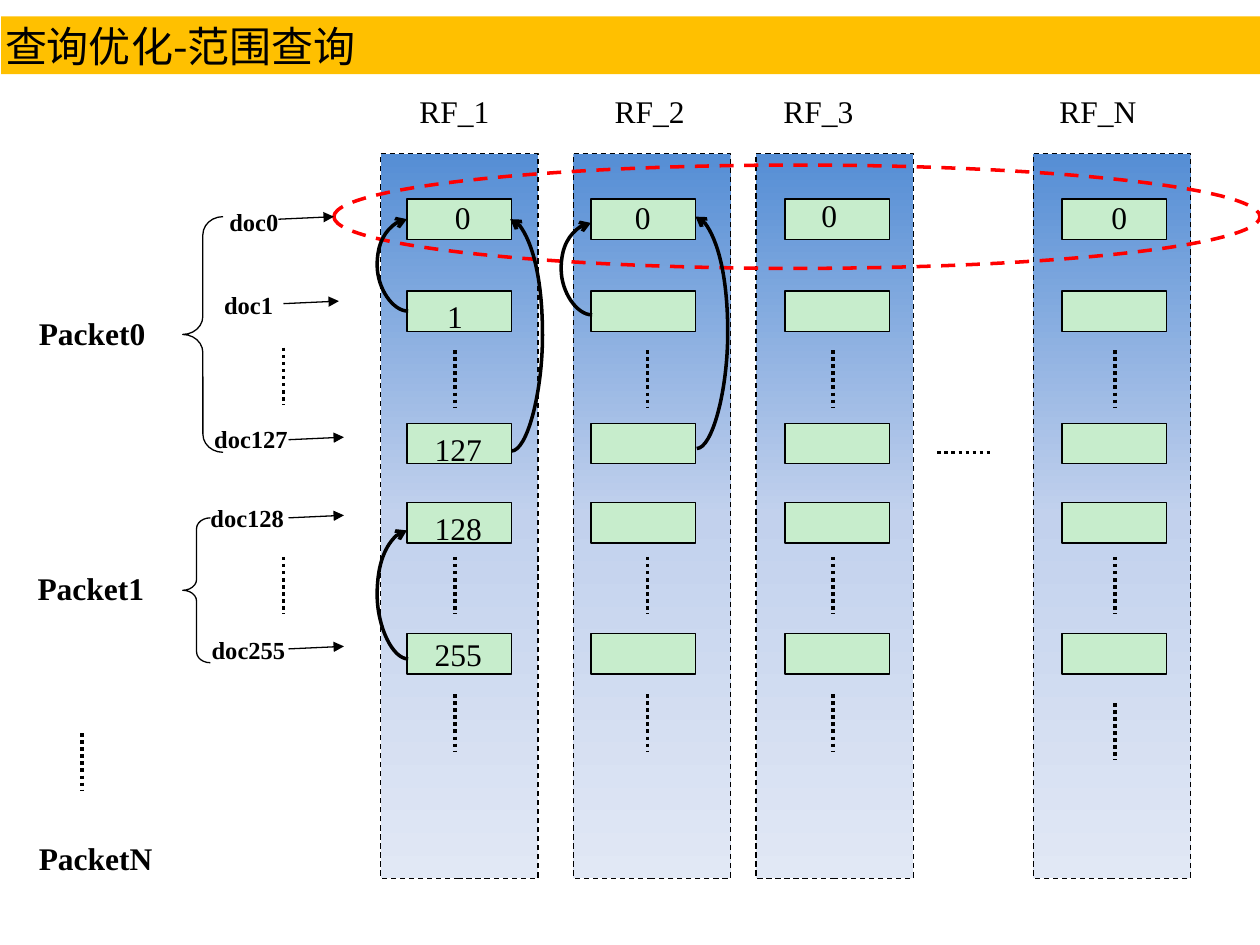
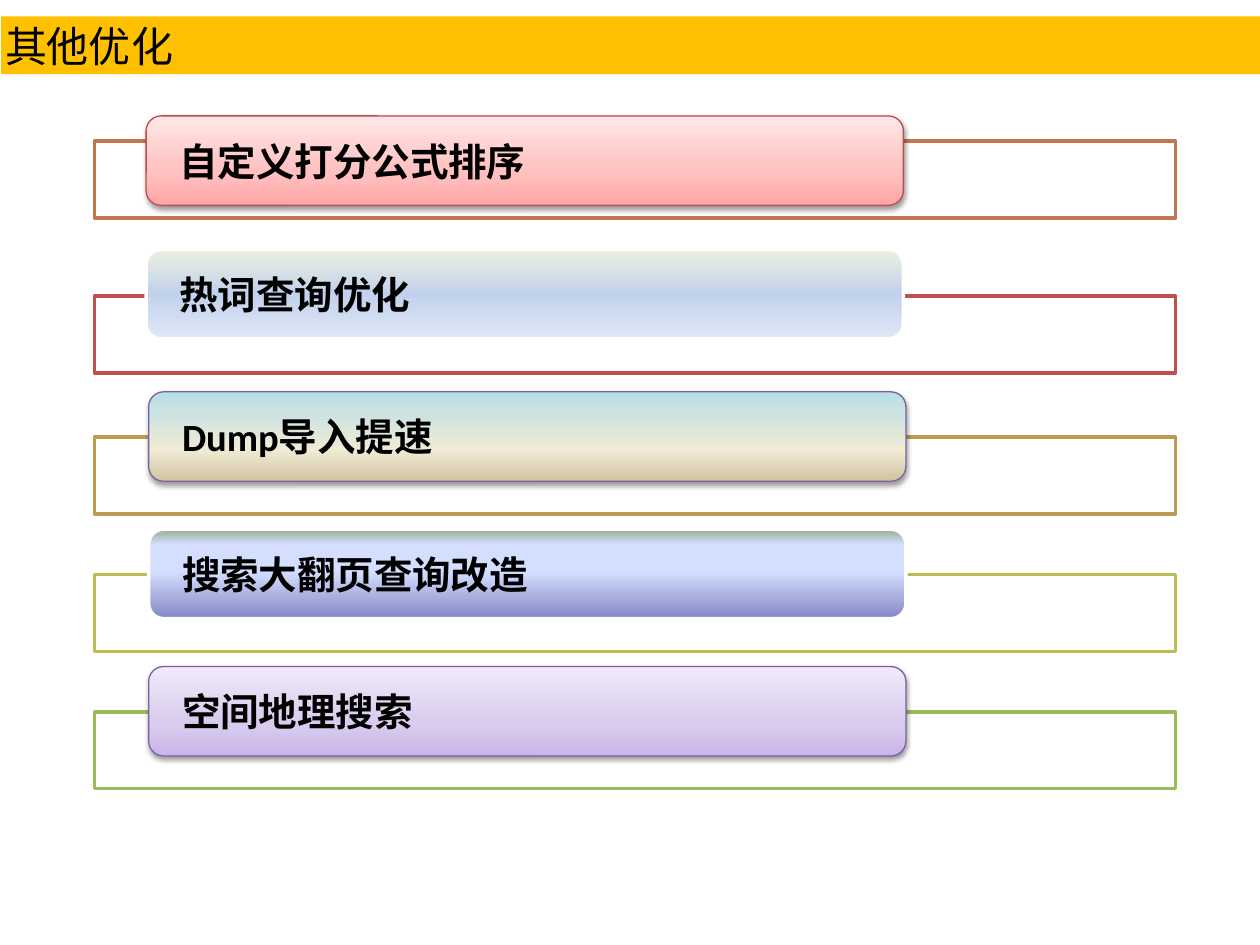
from lxml import etree
from pptx import Presentation
from pptx import util as u
from pptx.dml.color import RGBColor
from pptx.enum import dml, shapes, text
from pptx.oxml.ns import qn

# Shared look; lengths count cells of a 10 by 7.5 grid
CELL = u.Inches(1)
BLACK, WHITE, GOLD, GREEN, RED = "000000", "FFFFFF", "FFC000", "C7EDCC", "FF0000"
HAN, ROMAN, SANS = "Noto Sans CJK SC", "Times New Roman", "Calibri"
BLUES = [(0, "558ED5"), (50, "C2D1ED"), (100, "E1E8F5")]
DASH, DOT = dml.MSO_LINE.DASH, dml.MSO_LINE.ROUND_DOT
KIND = shapes.MSO_SHAPE
LINK = shapes.MSO_CONNECTOR


def grid(*vals):
    return [round(v * CELL) for v in vals]


def rgb(hue):
    return RGBColor.from_string(hue)


def node(root, tag, **attrs):
    return etree.SubElement(root, qn(tag), {k: str(v) for k, v in attrs.items()})


def pen(line, hue, size, dash=None):
    line.color.rgb = rgb(hue)
    line.width = u.Pt(size)
    if dash:
        line.dash_style = dash


def blend(shape, stops):
    """Fill from top to bottom with (percent, colour) stops."""
    shape.fill.gradient()
    shape.fill.gradient_angle = 270
    root = shape._element.spPr.find(".//" + qn("a:gsLst"))
    for old in list(root):
        root.remove(old)
    for pos, hue in stops:
        node(node(root, "a:gs", pos=pos * 1000), "a:srgbClr", val=hue)


def block(slide, kind, at, fill=None, line=None, size=0.75, dash=None):
    shape = slide.shapes.add_shape(kind, *grid(*at))
    shape.shadow.inherit = False
    if isinstance(fill, list):
        blend(shape, fill)
    elif fill:
        shape.fill.solid()
        shape.fill.fore_color.rgb = rgb(fill)
    else:
        shape.fill.background()
    if line:
        pen(shape.line, line, size, dash)
    else:
        shape.line.fill.background()
    return shape


def shade(shape):
    root = shape._element.spPr.find(qn("a:effectLst"))
    cast = node(root, "a:outerShdw", blurRad=u.Pt(3.1), dist=u.Pt(1.6),
                dir=5400000, rotWithShape=0)
    node(node(cast, "a:srgbClr", val=BLACK), "a:alpha", val=38000)


def write(shape, words, size, face, bold=False, pad=0.1, top=0.05, mid=False):
    frame = shape.text_frame
    frame.word_wrap = True
    frame.margin_left, frame.margin_top, frame.margin_bottom = grid(pad, top, top)
    frame.margin_right = 0
    frame.vertical_anchor = text.MSO_ANCHOR.MIDDLE if mid else text.MSO_ANCHOR.TOP
    para = frame.paragraphs[0]
    para.text = words
    para.alignment = text.PP_ALIGN.LEFT
    font = para.font
    font.name, font.size, font.bold = face, u.Pt(size), bold
    font.color.rgb = rgb(BLACK)
    node(font._element, "a:ea", typeface=HAN)


def label(slide, words, at, size=18, bold=False, pad=0.1):
    write(slide.shapes.add_textbox(*grid(*at)), words, size, ROMAN, bold, pad)


def link(slide, ends, size, dash=None, head=None, kind=LINK.STRAIGHT):
    line = slide.shapes.add_connector(kind, *grid(*ends))
    pen(line.line, BLACK, size, dash)
    if head:
        node(line.line._get_or_add_ln(), "a:tailEnd", type=head)
    node(line._element.spPr, "a:effectLst")
    return line


def dots(slide, x, y):
    link(slide, (x, y, x, y + 0.45), 2, DOT)


def curve(slide, x, low, high, side):
    """Bow a quarter cell out to a side: -1 left, 1 right."""
    line = link(slide, (x, low, x - 0.01, high), 2, head="arrow", kind=LINK.CURVE)
    geom = line._element.spPr.find(qn("a:prstGeom"))
    av = geom.find(qn("a:avLst"))
    if av is None:
        av = node(geom, "a:avLst")
    node(av, "a:gd", name="adj1", fmla=f"val {-side * 2500000}")


def brace(slide, at, bend):
    block(slide, KIND.LEFT_BRACE, at, line=BLACK).adjustments[0] = bend


def start(deck, words):
    slide = deck.slides.add_slide(deck.slide_layouts[6])
    band = block(slide, KIND.RECTANGLE, (0.01, 0.13, 9.99, 0.46), GOLD)
    write(band, words, 24, HAN, pad=0.03, top=0.03, mid=True)
    return slide


def ranges(deck):
    slide = start(deck, "查询优化-范围查询")

    # Columns: name, left of column, box, name and dots
    cols = [("RF_1", 3.02, 3.23, 3.23, 3.61), ("RF_2", 4.55, 4.69, 4.78, 5.14),
            ("RF_3", 6, 6.23, 6.12, 6.61), ("RF_N", 8.2, 8.43, 8.31, 8.85)]
    rows = [1.58, 2.31, 3.36, 3.99, 5.03]
    for name, left, *_ in cols:
        block(slide, KIND.RECTANGLE, (left, 1.22, 1.25, 5.75), BLUES, BLACK, dash=DASH)
    block(slide, KIND.OVAL, (2.65, 1.31, 7.35, 0.82), None, RED, 2, DASH)
    for name, _, box, head, dot in cols:
        label(slide, name, (head, 0.68, 1.14, 0.45))
        for y in rows:
            block(slide, KIND.RECTANGLE, (box, y, 0.83, 0.32), GREEN, BLACK)
        for y in (2.78, 4.42, 5.58 if name == "RF_N" else 5.51):
            dots(slide, dot, y)
    link(slide, (7.44, 3.59, 7.88, 3.59), 2, DOT)

    # Box values
    for x, y, pad, word in [
            (3.45, 1.52, 0.16, "0"), (4.88, 1.52, 0.16, "0"),
            (6.36, 1.51, 0.16, "0"), (8.6, 1.52, 0.22, "0"),
            (3.45, 2.31, 0.1, "1"), (3.23, 3.36, 0.22, "127"),
            (3.23, 3.99, 0.22, "128"), (3.23, 4.99, 0.22, "255")]:
        label(slide, word, (x, y, 0.83, 0.45), pad=pad)

    # Documents and their arrows
    for word, x, y, pad, tip, level in [
            ("doc0", 1.67, 1.59, 0.15, 2.21, 1.74),
            ("doc1", 1.68, 2.25, 0.1, 2.25, 2.41),
            ("doc127", 1.45, 3.32, 0.25, 2.29, 3.49),
            ("doc128", 1.5, 3.94, 0.17, 2.29, 4.11),
            ("doc255", 1.53, 4.99, 0.15, 2.29, 5.15)]:
        label(slide, word, (x, y, 0.9, 0.43), 14, True, pad)
        link(slide, (tip, level, tip + 0.44, level - 0.02), 0.75, head="triangle")

    # Packets
    for word, x, y in [("Packet0", 0.21, 2.44), ("Packet1", 0.2, 4.47),
                       ("PacketN", 0.21, 6.61)]:
        label(slide, word, (x, y, 1.24, 0.5), bold=True)
    brace(slide, (1.45, 1.72, 0.32, 1.87), 0.45)
    brace(slide, (1.45, 4.11, 0.22, 1.15), 0.39)
    for x, y in [(2.25, 2.76), (2.25, 4.42), (0.65, 5.82)]:
        dots(slide, x, y)

    # Links back to the first box of a packet
    for x, low, high, side in [
            (3.24, 2.47, 1.74, -1), (4.06, 3.58, 1.74, 1), (3.24, 5.23, 4.21, -1),
            (4.7, 2.5, 1.77, -1), (5.53, 3.56, 1.72, 1)]:
        curve(slide, x, low, high, side)


def others(deck):
    slide = start(deck, "其他优化")

    # Cards: words, frame top, card place, frame and card line, fill
    cards = [
        ("自定义打分公式排序", 1.12, 1.16, 0.92, "BF7750", "BF4C48",
         [(0, "FFE7E7"), (65, "FFC0BF"), (100, "FFA6A5")]),
        ("热词查询优化", 2.35, 1.16, 1.98, "C0504D", WHITE,
         [(0, "EBF1DE"), (50, "C2D1ED"), (100, "E1E8F5")]),
        ("Dump导入提速", 3.47, 1.18, 3.11, "BD9B53", "7D60A0",
         [(0, "B7DEE8"), (65, "F0EBD5"), (100, "D1C39F")]),
        ("搜索大翻页查询改造", 4.56, 1.18, 4.2, "BCBC56", WHITE,
         [(0, "96AB94"), (17, "D4DEFF"), (47, "D4DEFF"), (100, "8488C4")]),
        ("空间地理搜索", 5.65, 1.18, 5.29, "9BBB59", "7D60A0",
         [(0, "F0EAF9"), (65, "D8CBEE"), (100, "C9B5E8")])]
    for words, top, x, y, edge, rim, fill in cards:
        block(slide, KIND.RECTANGLE, (0.75, top, 8.58, 0.61), WHITE, edge, 2)
        plain = rim == WHITE
        card = block(slide, KIND.ROUNDED_RECTANGLE, (x, y, 6.01, 0.71), fill, rim,
                     2 if plain else 0.75)
        if not plain:
            shade(card)
        write(card, words, 22, SANS, True, pad=0.23, top=0, mid=True)


def main():
    deck = Presentation()
    deck.slide_width, deck.slide_height = grid(10, 7.5)
    ranges(deck)
    others(deck)
    deck.save("out.pptx")


if __name__ == "__main__":
    main()
